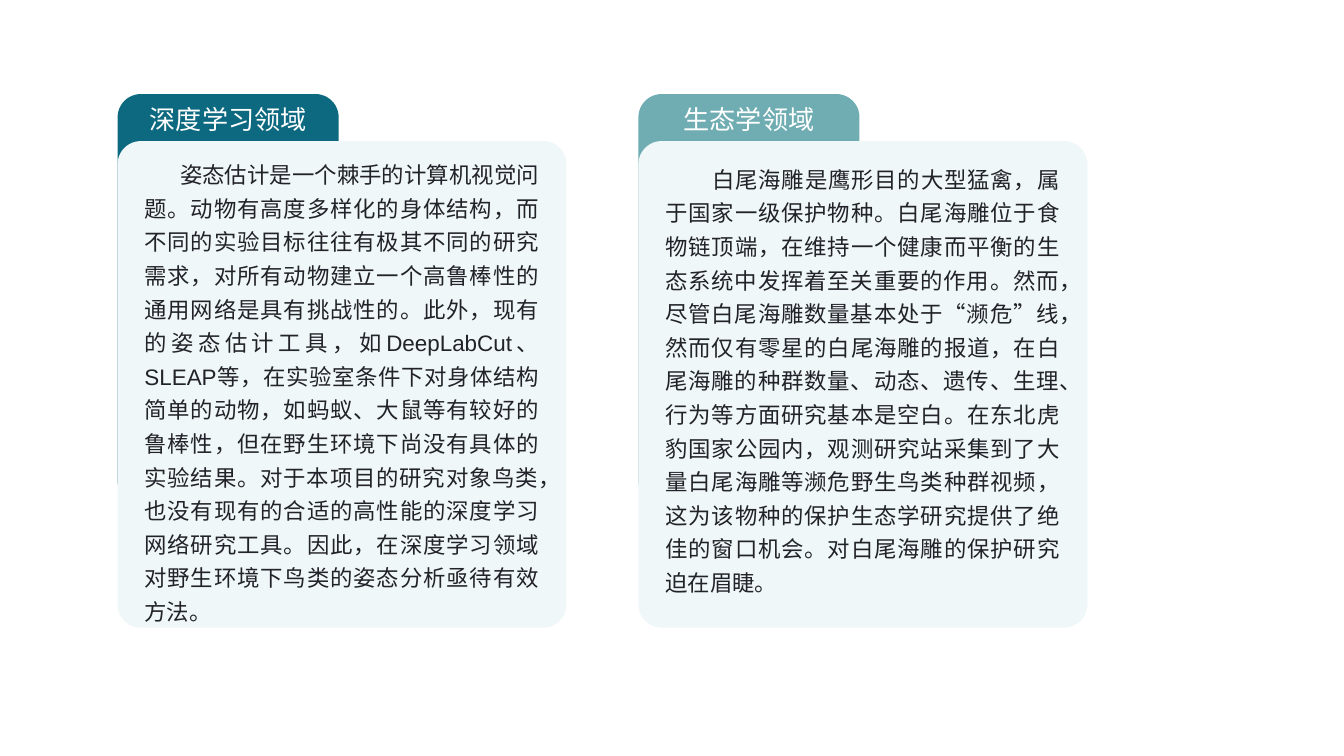
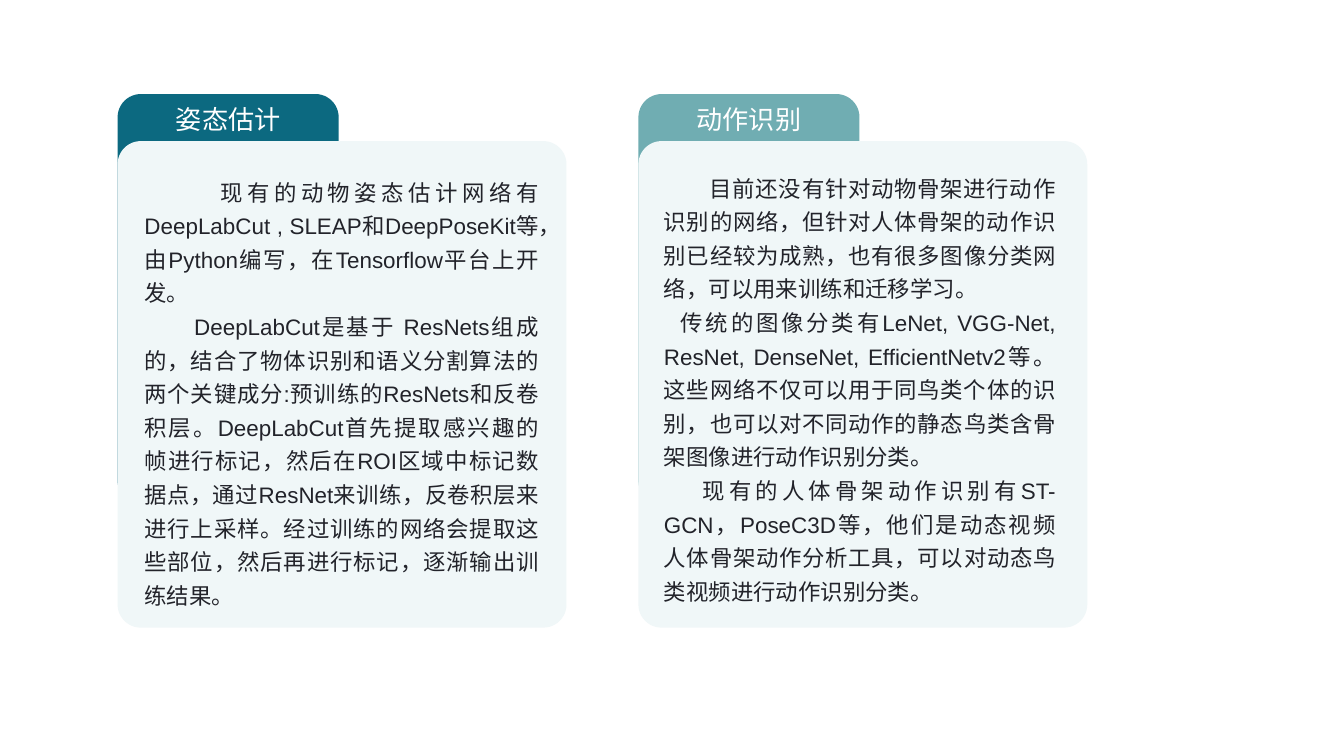
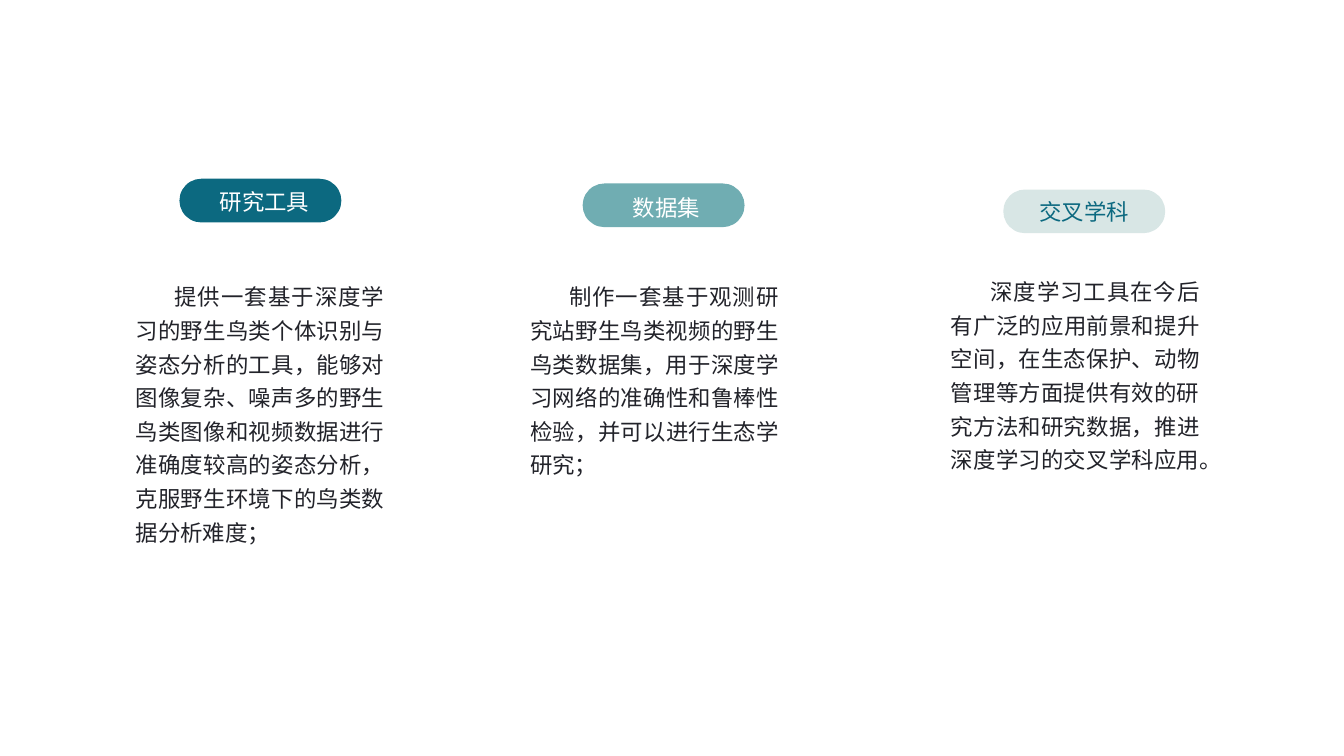
from pptx import Presentation, util as u
from pptx.dml.color import RGBColor
from pptx.enum import shapes, text

COLORS = {
    "teal": "0C6980",
    "sage": "70ADB2",
    "mist": "D8E6E5",
    "panel": "F0F7F8",
    "ink": "22232A",
    "white": "FFFFFF",
}
FONT = "Arial"
CORNER = 0.345
CARD_TOP = 1.4
CARD_LEFTS = (1.75, 9.5)

TAB_TITLE = {"size": 28, "spacing": 39.2, "align": text.PP_ALIGN.CENTER, "color": "white"}
PILL_LABEL = {"size": 24, "spacing": 33.6, "align": text.PP_ALIGN.CENTER}
BODY = {"size": 24, "spacing": 36, "align": text.PP_ALIGN.JUSTIFY, "color": "ink"}

CARD_SLIDES = [
    [
        {
            "title": "深度学习领域",
            "color": "teal",
            "body_box": (0.4, 0.9, 5.87, 7.52),
            "paragraphs": [
                (0.53, "姿态估计是一个棘手的计算机视觉问题。动物有高度多样化的身体结构，而不同的实验目标往往有极其不同的研究需求，对所有动物建立一个高鲁棒性的通用网络是具有挑战性的。此外，现有的姿态估计工具，如DeepLabCut、SLEAP等，在实验室条件下对身体结构简单的动物，如蚂蚁、大鼠等有较好的鲁棒性，但在野生环境下尚没有具体的实验结果。对于本项目的研究对象鸟类，也没有现有的合适的高性能的深度学习网络研究工具。因此，在深度学习领域对野生环境下鸟类的姿态分析亟待有效方法。"),
            ],
        },
        {
            "title": "生态学领域",
            "color": "sage",
            "body_box": (0.4, 0.97, 5.87, 7.52),
            "paragraphs": [
                (0.7, "白尾海雕是鹰形目的大型猛禽，属于国家一级保护物种。白尾海雕位于食物链顶端，在维持一个健康而平衡的生态系统中发挥着至关重要的作用。然而，尽管白尾海雕数量基本处于“濒危”线，然而仅有零星的白尾海雕的报道，在白尾海雕的种群数量、动态、遗传、生理、行为等方面研究基本是空白。在东北虎豹国家公园内，观测研究站采集到了大量白尾海雕等濒危野生鸟类种群视频，这为该物种的保护生态学研究提供了绝佳的窗口机会。对白尾海雕的保护研究迫在眉睫。"),
            ],
        },
    ],
    [
        {
            "title": "姿态估计",
            "color": "teal",
            "body_box": (0.4, 1.16, 5.87, 6.52),
            "paragraphs": [
                (1.13, "现有的动物姿态估计网络有DeepLabCut , SLEAP和DeepPoseKit等，由Python编写，在Tensorflow平台上开发。"),
                (0.74, "DeepLabCut是基于 ResNets组成的，结合了物体识别和语义分割算法的两个关键成分:预训练的ResNets和反卷积层。DeepLabCut首先提取感兴趣的帧进行标记，然后在ROI区域中标记数据点，通过ResNet来训练，反卷积层来进行上采样。经过训练的网络会提取这些部位，然后再进行标记，逐渐输出训练结果。"),
            ],
        },
        {
            "title": "动作识别",
            "color": "sage",
            "body_box": (0.38, 1.1, 5.83, 6.52),
            "paragraphs": [
                (0.68, "目前还没有针对动物骨架进行动作识别的网络，但针对人体骨架的动作识别已经较为成熟，也有很多图像分类网络，可以用来训练和迁移学习。"),
                (0.25, "传统的图像分类有LeNet, VGG-Net, ResNet, DenseNet, EfficientNetv2等。这些网络不仅可以用于同鸟类个体的识别，也可以对不同动作的静态鸟类含骨架图像进行动作识别分类。"),
                (0.58, "现有的人体骨架动作识别有ST-GCN，PoseC3D等，他们是动态视频人体骨架动作分析工具，可以对动态鸟类视频进行动作识别分类。"),
            ],
        },
    ],
]

OUTCOMES = [
    {
        "label": "研究工具",
        "fill": "teal",
        "label_color": "white",
        "origin": (2.02, 4.12),
        "pill_offset": (0.65, -1.46),
        "label_offset": (0.79, -1.39),
        "height": 3.99,
        "paragraphs": [(0.57, "提供一套基于深度学习的野生鸟类个体识别与姿态分析的工具，能够对图像复杂、噪声多的野生鸟类图像和视频数据进行准确度较高的姿态分析，克服野生环境下的鸟类数据分析难度；")],
    },
    {
        "label": "数据集",
        "fill": "sage",
        "label_color": "white",
        "origin": (7.89, 4.12),
        "pill_offset": (0.78, -1.39),
        "label_offset": (0.9, -1.3),
        "height": 2.98,
        "paragraphs": [(0.58, "制作一套基于观测研究站野生鸟类视频的野生鸟类数据集，用于深度学习网络的准确性和鲁棒性检验，并可以进行生态学研究；")],
    },
    {
        "label": "交叉学科",
        "fill": "mist",
        "label_color": "teal",
        "origin": (14.15, 4.04),
        "pill_offset": (0.78, -1.22),
        "label_offset": (0.86, -1.16),
        "height": 2.97,
        "paragraphs": [(0.59, "深度学习工具在今后有广泛的应用前景和提升空间，在生态保护、动物管理等方面提供有效的研究方法和研究数据，推进深度学习的交叉学科应用。")],
    },
]


def set_attributes(target, values):
    for name, value in values.items():
        setattr(target, name, value)


def place(origin, box):
    left, top, width, height = box
    return [u.Inches(value) for value in (origin[0] + left, origin[1] + top, width, height)]


def add_rounded(container, origin, box, color, radius):
    shape = container.add_shape(shapes.MSO_SHAPE.ROUNDED_RECTANGLE, *place(origin, box))
    shape.adjustments[0] = radius / min(box[2:])
    shape.fill.solid()
    shape.fill.fore_color.rgb = RGBColor.from_string(COLORS[color])
    shape.line.fill.background()
    shape.shadow.inherit = False


def add_text(container, origin, box, paragraphs, style):
    frame = container.add_textbox(*place(origin, box)).text_frame
    set_attributes(frame, {
        "margin_left": 0,
        "margin_top": 0,
        "margin_right": 0,
        "margin_bottom": 0,
        "word_wrap": True,
        "auto_size": text.MSO_AUTO_SIZE.SHAPE_TO_FIT_TEXT,
    })
    for index, (indent, words) in enumerate(paragraphs):
        paragraph = frame.add_paragraph() if index else frame.paragraphs[0]
        if indent:
            paragraph._p.get_or_add_pPr().set("indent", str(u.Inches(indent)))
        set_attributes(paragraph, {
            "alignment": style["align"],
            "line_spacing": u.Pt(style["spacing"]),
        })
        run = paragraph.add_run()
        run.text = words
        set_attributes(run.font, {"name": FONT, "size": u.Pt(style["size"])})
        run.font.color.rgb = RGBColor.from_string(COLORS[style["color"]])


def add_card(slide, origin, card):
    group = slide.shapes.add_group_shape().shapes
    add_rounded(group, origin, (0, 0, 3.29, 6.1), card["color"], CORNER)
    add_rounded(group, origin, (0, 0.7, 6.68, 7.24), "panel", CORNER)
    add_text(group, origin, (0.22, 0.06, 2.85, 0.5), [(0, card["title"])], TAB_TITLE)
    add_text(group, origin, card["body_box"], card["paragraphs"], BODY)


def add_outcome(slide, outcome):
    origin = outcome["origin"]
    pill_box = (*outcome["pill_offset"], 2.41, 0.65)
    label_box = (*outcome["label_offset"], 2.25, 0.43)
    label_style = {**PILL_LABEL, "color": outcome["label_color"]}
    add_rounded(slide.shapes, origin, pill_box, outcome["fill"], pill_box[3] / 2)
    add_text(slide.shapes, origin, label_box, [(0, outcome["label"])], label_style)
    add_text(slide.shapes, origin, (0, 0, 3.7, outcome["height"]), outcome["paragraphs"], BODY)


def build_card_slide(slide, cards):
    for left, card in zip(CARD_LEFTS, cards):
        add_card(slide, (left, CARD_TOP), card)


def build_outcome_slide(slide, outcomes):
    for outcome in outcomes:
        add_outcome(slide, outcome)


def main():
    presentation = Presentation()
    set_attributes(presentation, {"slide_width": u.Inches(20), "slide_height": u.Inches(11.25)})
    blank = presentation.slide_layouts[6]
    for cards in CARD_SLIDES:
        build_card_slide(presentation.slides.add_slide(blank), cards)
    build_outcome_slide(presentation.slides.add_slide(blank), OUTCOMES)
    presentation.save("out.pptx")


if __name__ == "__main__":
    main()
